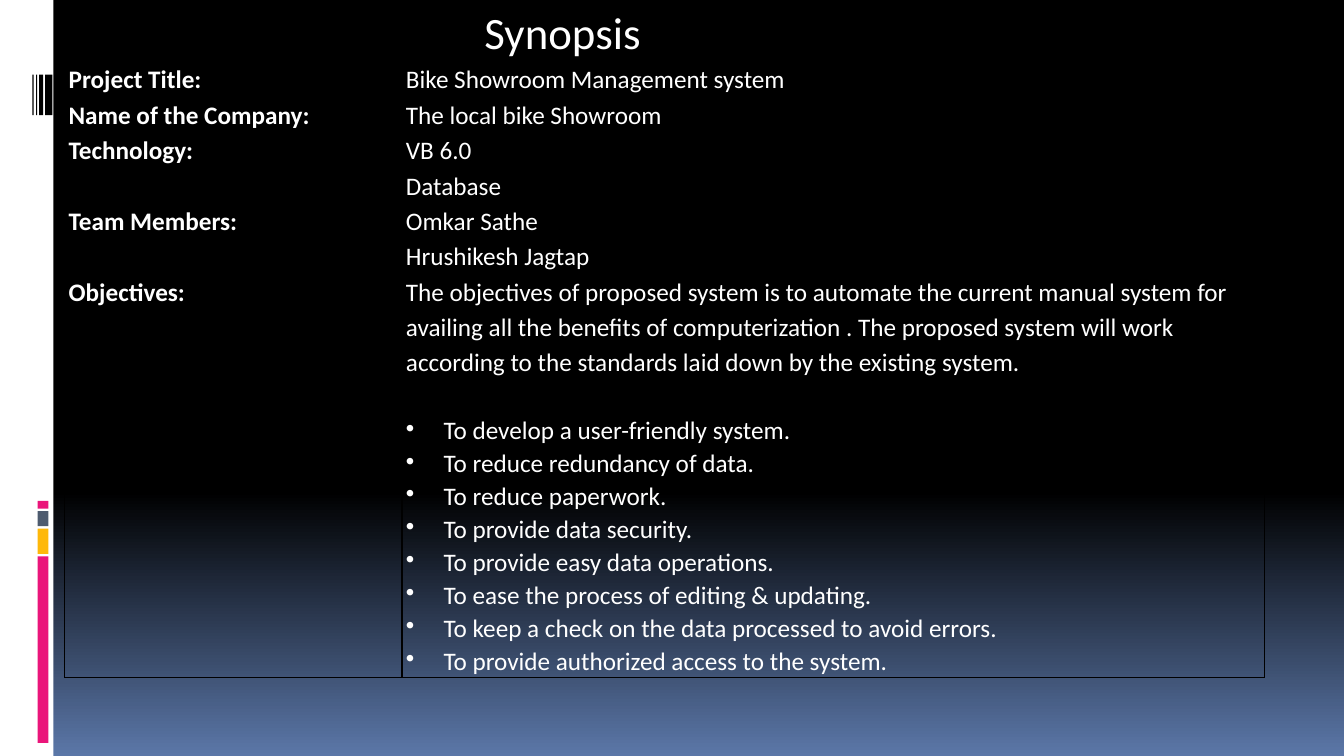
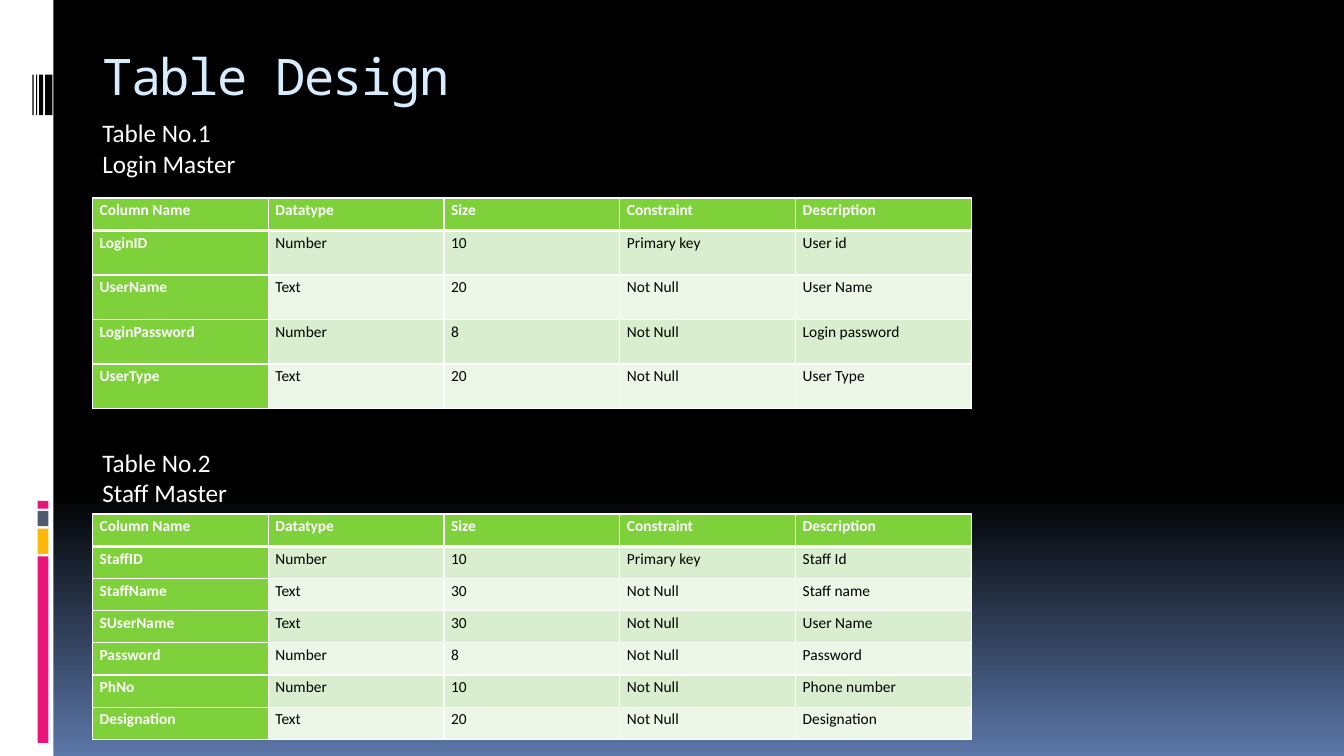
from dataclasses import dataclass

from lxml.etree import SubElement
from pptx import Presentation
from pptx.dml.color import RGBColor
from pptx.enum.shapes import MSO_SHAPE
from pptx.enum.text import MSO_ANCHOR
from pptx.oxml.ns import qn
from pptx.util import Cm, Pt


@dataclass(frozen=True)
class Theme:
    body: str = "Calibri"
    mono: str = "Noto Sans Mono"
    black: str = "000000"
    white: str = "FFFFFF"
    blue: str = "5B77A8"
    pale: str = "D6ECFF"
    pink: str = "EA157A"
    amber: str = "FEB80A"
    slate: str = "4E5B6F"
    green: str = "7FD13B"
    bands: tuple = ("D8EECE", "ECF7E8")
    title: int = 36
    head: int = 32
    text: int = 18
    small: int = 11


T = Theme()
WIDE, HIGH = 33.87, 19.05
HEADS = ("Column Name", "Datatype", "Size", "Constraint", "Description")
LOGIN = (
    ("LoginID", "Number", "10", "Primary key", "User id"),
    ("UserName", "Text", "20", "Not Null", "User Name"),
    ("LoginPassword", "Number", "8", "Not Null", "Login password"),
    ("UserType", "Text", "20", "Not Null", "User Type"),
)
STAFF = (
    ("StaffID", "Number", "10", "Primary key", "Staff Id"),
    ("StaffName", "Text", "30", "Not Null", "Staff name"),
    ("SUserName", "Text", "30", "Not Null", "User Name"),
    ("Password", "Number", "8", "Not Null", "Password"),
    ("PhNo", "Number", "10", "Not Null", "Phone number"),
    ("Designation", "Text", "20", "Not Null", "Designation"),
)
FACTS = (
    ("Project Title:", ["Bike Showroom Management system"]),
    ("Name of the Company:", ["The local bike Showroom"]),
    ("Technology:", ["VB 6.0", "Database"]),
    ("Team Members:", ["Omkar Sathe", "Hrushikesh Jagtap"]),
    ("Objectives:", [
        "The objectives of proposed system is to automate the current manual "
        "system for availing all the benefits of computerization . The proposed "
        "system will work according to the standards laid down by the existing "
        "system."]),
)
GOALS = (
    "To develop a user-friendly system.",
    "To reduce redundancy of data.",
    "To reduce paperwork.",
    "To provide data security.",
    "To provide easy data operations.",
    "To ease the process of editing & updating.",
    "To keep a check on the data processed to avoid errors.",
    "To provide authorized access to the system.",
)


def rgb(code):
    return RGBColor.from_string(code)


def style(para, size, color=T.white, bold=False, face=T.body):
    font = para.font
    font.name, font.size, font.bold = face, Pt(size), bold
    font.color.rgb = rgb(color)


def write(frame, lines, size, space=1.0, **look):
    """Fill a text frame with one paragraph for each line."""
    frame.word_wrap = True
    frame.text = "\n".join(lines)
    for para in frame.paragraphs:
        para.line_spacing = space
        style(para, size, **look)


def label(slide, box, lines, size, **look):
    frame = slide.shapes.add_textbox(*map(Cm, box)).text_frame
    write(frame, lines, size, **look)
    return frame


def bar(slide, box, color):
    shape = slide.shapes.add_shape(MSO_SHAPE.RECTANGLE, *map(Cm, box))
    shape.shadow.inherit = False
    shape.fill.solid()
    shape.fill.fore_color.rgb = rgb(color)
    shape.line.fill.background()


def side(slide, box):
    """White band with a barcode above and a stack of colour bars below."""
    left, top, _, _ = box
    bar(slide, box, T.white)
    y = top + 12.62
    for color, tall in ((T.pink, 0.2), (T.slate, 0.38),
                        (T.amber, 0.64), (T.pink, 4.7)):
        bar(slide, (left + 0.95, y, 0.27, tall), color)
        y += tall + 0.06
    for x, wide in ((0.82, 0.03), (0.91, 0.03), (0.99, 0.1), (1.14, 0.18)):
        bar(slide, (left + x, top + 1.88, wide, 1.02), T.black)


def base(deck):
    slide = deck.slides.add_slide(deck.slide_layouts[6])
    fill = slide.background.fill
    fill.gradient()
    fill.gradient_angle = 270
    for stop, (place, color) in zip(fill.gradient_stops,
                                    ((0.65, T.black), (1, T.blue))):
        stop.position = place
        stop.color.rgb = rgb(color)
    side(slide, (0, 0, 1.35, HIGH))
    return slide


def grid(slide, spot, cols, rows):
    """Add a plain table at a spot, sized by its columns and rows."""
    left, top = spot
    box = (left, top, sum(cols), sum(rows))
    table = slide.shapes.add_table(len(rows), len(cols), *map(Cm, box)).table
    table.first_row = table.horz_banding = False
    for col, wide in zip(table.columns, cols):
        col.width = Cm(wide)
    for row, tall in zip(table.rows, rows):
        row.height = Cm(tall)
    return table


def frame(cell, color, pad, top=1, foot=1):
    """Draw the cell's borders and set its side margins."""
    cell.margin_left = cell.margin_right = Cm(pad)
    cell.margin_top = cell.margin_bottom = 0
    props = cell._tc.get_or_add_tcPr()
    for edge, width in (("L", 1), ("R", 1), ("T", top), ("B", foot)):
        line = SubElement(props, qn(f"a:ln{edge}"), w=str(Pt(width)))
        SubElement(SubElement(line, qn("a:solidFill")), qn("a:srgbClr"), val=color)


def bullet(para, text):
    para.text = text
    props = para._p.get_or_add_pPr()
    props.set("marL", str(Cm(0.95)))
    props.set("indent", str(-Cm(0.95)))
    SubElement(props, qn("a:buChar"), char="•")
    para.line_spacing = 1.07
    style(para, T.text)


def facts(slide, spot):
    table = grid(slide, spot, (8.5, 21.74), (0.89, 0.89, 1.78, 1.78, 10.2))
    for row, (name, lines) in zip(table.rows, FACTS):
        for cell, part, bold in zip(row.cells, ([name], lines), (True, False)):
            frame(cell, T.black, 0.1)
            cell.fill.background()
            write(cell.text_frame, part, T.text, 1.15, bold=bold)
    goals = [cell.text_frame.add_paragraph() for _ in GOALS]
    for para, text in zip(goals, GOALS):
        bullet(para, text)
    goals[0].space_before = Pt(25)


def schema(slide, spot, data, tall):
    """Table of database columns with a green header row and first column."""
    table = grid(slide, spot, [4.43] * len(HEADS), [0.82] + [tall] * len(data))
    for r, texts in enumerate((HEADS, *data)):
        for c, text in enumerate(texts):
            cell, key = table.cell(r, c), r == 0 or c == 0
            frame(cell, T.white, 0.18, top=3 if r == 1 else 1,
                  foot=3 if r == 0 else 1)
            cell.fill.solid()
            cell.fill.fore_color.rgb = rgb(T.green if key else T.bands[(r - 1) % 2])
            write(cell.text_frame, [text], T.small, 1.15, bold=key,
                  color=T.white if key else T.black)


def synopsis(deck):
    slide = base(deck)
    facts(slide, (1.63, 1.52))
    label(slide, (11.96, 0, 5.51, 1.63), ["Synopsis"], T.head)


def design(deck):
    slide, left = base(deck), 2.33
    title = label(slide, (left, 1.02, 29.21, 1.78), ["Table Design"], T.title,
                  color=T.pale, face=T.mono)
    title.vertical_anchor = MSO_ANCHOR.MIDDLE
    title.paragraphs[0]._p.pPr.find(qn("a:defRPr")).set("spc", "-100")
    for number, name, y, gap, data, tall in (
            (1, "Login Master", 2.84, 2.15, LOGIN, 1.12),
            (2, "Staff Master", 11.15, 1.8, STAFF, 0.81)):
        label(slide, (left, y, 10.46, 1.8), [f"Table No.{number}", name], T.text)
        schema(slide, (left, y + gap), data, tall)


def main():
    deck = Presentation()
    deck.slide_width, deck.slide_height = Cm(WIDE), Cm(HIGH)
    synopsis(deck)
    design(deck)
    deck.save("out.pptx")


if __name__ == "__main__":
    main()
